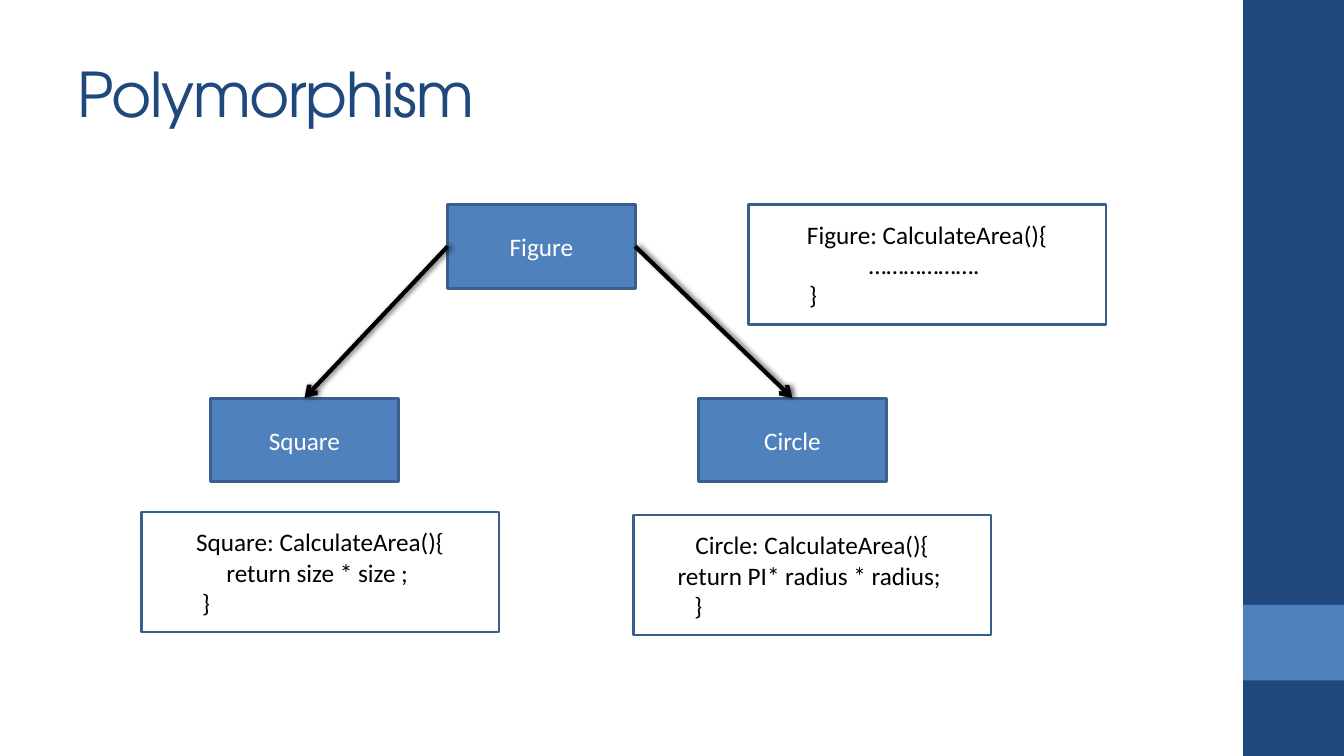
from dataclasses import dataclass

from lxml.etree import SubElement
from pptx import Presentation
from pptx.dml.color import RGBColor
from pptx.enum.shapes import MSO_CONNECTOR, MSO_SHAPE
from pptx.enum.text import MSO_ANCHOR, PP_ALIGN
from pptx.oxml.ns import qn
from pptx.shapes.autoshape import Shape
from pptx.slide import Slide
from pptx.text.text import TextFrame
from pptx.util import Inches, Pt

COLORS = {
    "navy": "1F497D",
    "blue": "4F81BD",
    "border": "3A5F8C",
    "white": "FFFFFF",
    "black": "000000",
}
BODY_FONT = "Calibri"
TITLE_FONT = "TeX Gyre Adventor"
CLASS_SIZE = (1.86, 0.83)
CODE_SIZE = (3.55, 1.19)
LEFT_SITE, RIGHT_SITE, TOP_SITE = 1, 3, 0


@dataclass(frozen=True)
class FigureClass:
    name: str
    body: str
    box: tuple[float, float]
    code: tuple[float, float]


CLASSES = [
    FigureClass("Figure", "………………. ", (4.44, 2.03), (7.42, 2.03)),
    FigureClass("Circle", "return PI* radius * radius; ", (6.93, 3.95), (6.28, 5.11)),
    FigureClass("Square", "return size * size ; ", (2.09, 3.95), (1.4, 5.08)),
]


def rgb(name: str) -> RGBColor:
    return RGBColor.from_string(COLORS[name])


def add_rect(s: Slide, pos: tuple[float, float], size: tuple[float, float],
             fill: str | None, border: str | None = None) -> Shape:
    sp = s.shapes.add_shape(MSO_SHAPE.RECTANGLE, *map(Inches, pos + size))
    sp.shadow.inherit = False
    if fill:
        sp.fill.solid()
        sp.fill.fore_color.rgb = rgb(fill)
    else:
        sp.fill.background()
    if border:
        sp.line.color.rgb = rgb(border)
        sp.line.width = Pt(2)
    else:
        sp.line.fill.background()
    return sp


def write_lines(tf: TextFrame, lines: list[tuple[str, PP_ALIGN]], color: str,
                size: int = 18, font: str = BODY_FONT) -> None:
    tf.word_wrap = True
    tf.vertical_anchor = MSO_ANCHOR.MIDDLE
    for i, (text, align) in enumerate(lines):
        p = tf.paragraphs[0] if i == 0 else tf.add_paragraph()
        p.alignment = align
        r = p.add_run()
        r.text = text
        r.font.name = font
        r.font.size = Pt(size)
        r.font.color.rgb = rgb(color)


def add_title(s: Slide, text: str) -> None:
    tf = s.shapes.add_textbox(*map(Inches, (0.67, 0.3, 11.11, 1.25))).text_frame
    write_lines(tf, [(text, PP_ALIGN.LEFT)], "navy", 44, TITLE_FONT)
    tf.paragraphs[0].runs[0].font._element.set("spc", "-100")


def add_class(s: Slide, item: FigureClass) -> Shape:
    sp = add_rect(s, item.box, CLASS_SIZE, "blue", "border")
    write_lines(sp.text_frame, [(item.name, PP_ALIGN.CENTER)], "white")
    return sp


def add_code(s: Slide, item: FigureClass) -> None:
    sp = add_rect(s, item.code, CODE_SIZE, None, "border")
    write_lines(sp.text_frame, [
        (f"{item.name}: CalculateArea(){{", PP_ALIGN.CENTER),
        (item.body, PP_ALIGN.CENTER),
        ("         }", PP_ALIGN.LEFT),
    ], "black")


def add_arrow(s: Slide, parent: Shape, site: int, child: Shape) -> None:
    cxn = s.shapes.add_connector(MSO_CONNECTOR.STRAIGHT, 0, 0, 0, 0)
    cxn.begin_connect(parent, site)
    cxn.end_connect(child, TOP_SITE)
    cxn.line.color.rgb = rgb("black")
    cxn.line.width = Pt(3)
    SubElement(cxn.line._get_or_add_ln(), qn("a:tailEnd"), type="arrow")
    effects = SubElement(cxn._element.spPr, qn("a:effectLst"))
    shadow = SubElement(effects, qn("a:outerShdw"), blurRad=str(Pt(4)),
                        dist=str(Pt(2)), dir="0", rotWithShape="0")
    tint = SubElement(shadow, qn("a:srgbClr"), val=COLORS["black"])
    SubElement(tint, qn("a:alpha"), val="60000")


def main() -> None:
    prs = Presentation()
    prs.slide_width, prs.slide_height = Inches(13.33), Inches(7.5)
    s = prs.slides.add_slide(prs.slide_layouts[6])

    add_rect(s, (12.33, 0), (1, 7.5), "navy")
    add_rect(s, (12.33, 6), (1, 0.75), "blue")
    add_title(s, "Polymorphism")

    boxes = {item.name: add_class(s, item) for item in CLASSES}
    add_arrow(s, boxes["Figure"], LEFT_SITE, boxes["Square"])
    add_arrow(s, boxes["Figure"], RIGHT_SITE, boxes["Circle"])
    for item in CLASSES:
        add_code(s, item)

    prs.save("out.pptx")


if __name__ == "__main__":
    main()
